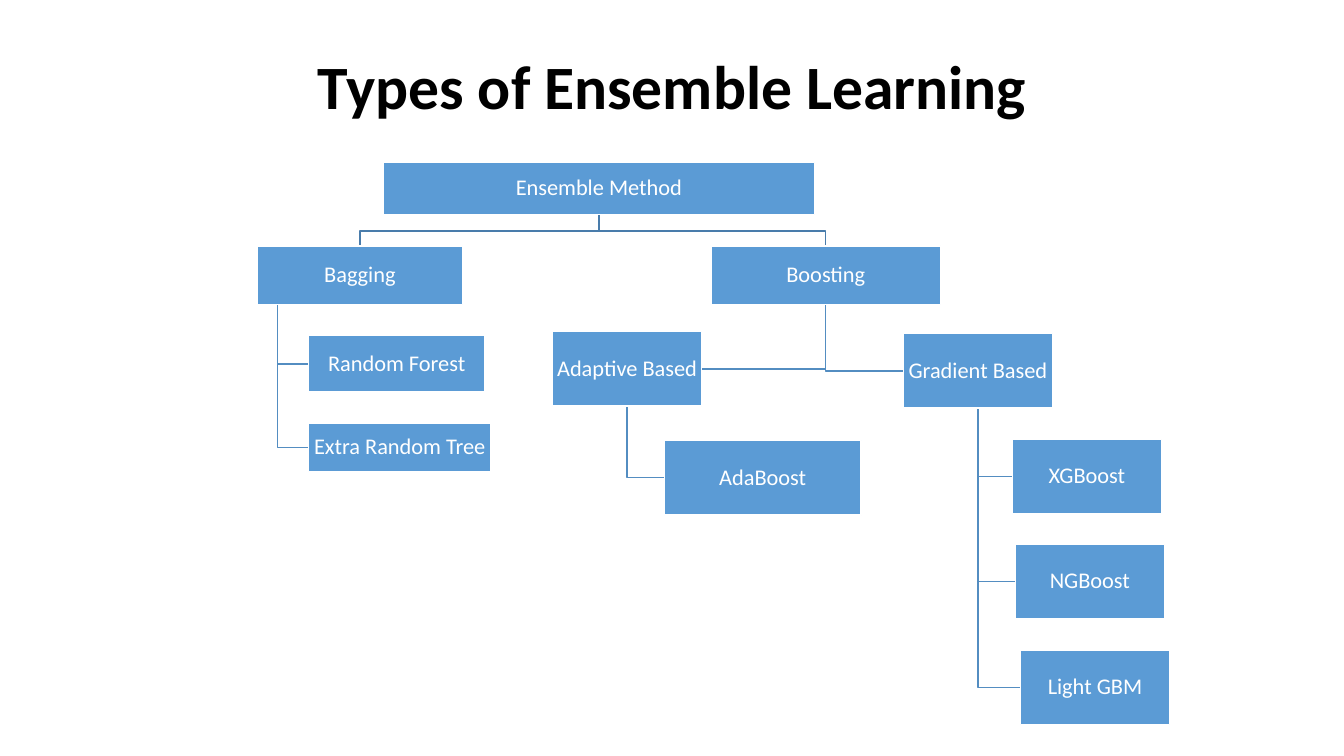
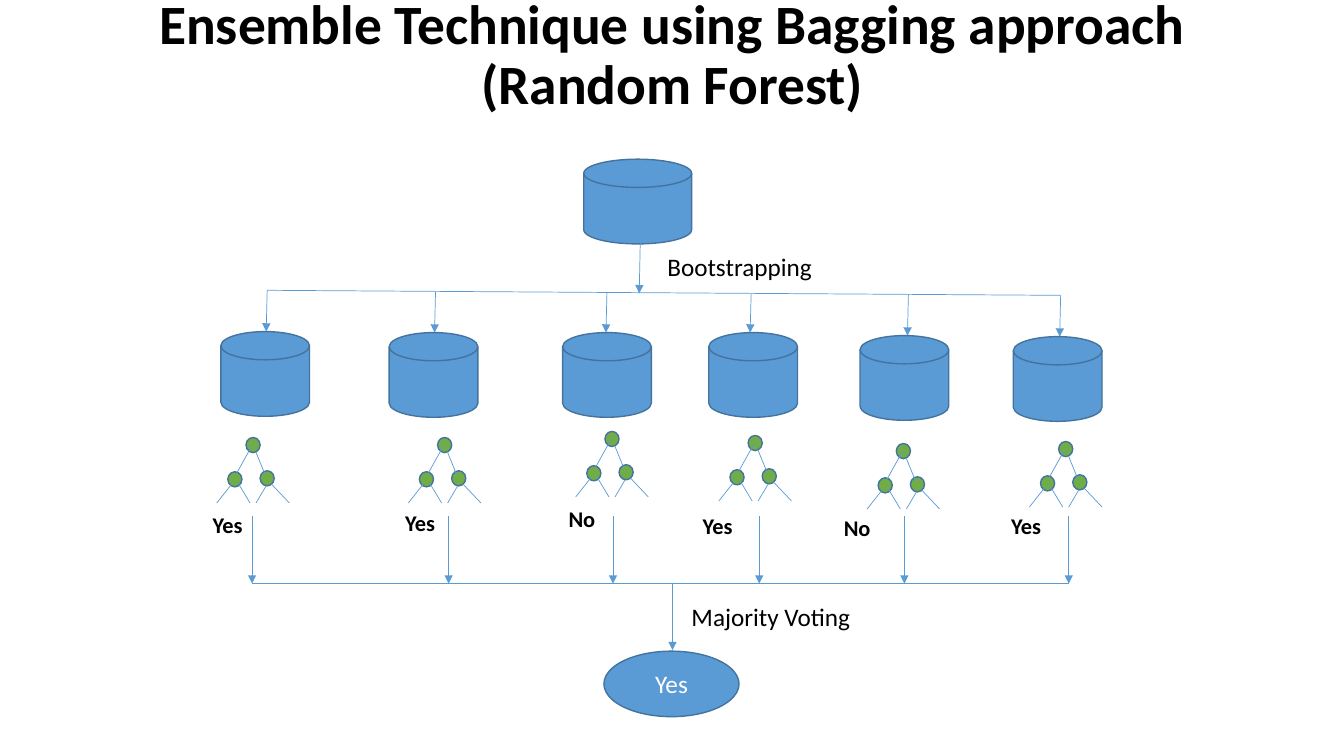
import dataclasses

import lxml.etree
import pptx
import pptx.dml.color
import pptx.enum.shapes
import pptx.enum.text
import pptx.oxml.ns
import pptx.util

PX = 9144  # EMU per px, 100 px to the inch
SHAPE = pptx.enum.shapes.MSO_SHAPE
ALIGN = pptx.enum.text.PP_ALIGN
ANCHOR = pptx.enum.text.MSO_ANCHOR


@dataclasses.dataclass(frozen=True)
class Theme:
    font: str = "Calibri"
    black: str = "000000"
    white: str = "FFFFFF"
    blue: str = "5B9BD5"
    outline: str = "43739E"
    green: str = "70AD47"
    root_link: str = "497CAB"
    link: str = "538DC1"
    title: float = 44
    long_title: float = 39.6
    label: float = 18
    small: float = 16
    thin: float = 0.5
    line: float = 1


THEME = Theme()


@dataclasses.dataclass(frozen=True)
class Box:
    text: str
    left: int
    top: int
    width: int
    height: int

    @property
    def right(self):
        return self.left + self.width

    @property
    def bottom(self):
        return self.top + self.height

    @property
    def center(self):
        return self.left + self.width // 2

    @property
    def middle(self):
        return self.top + self.height // 2


@dataclasses.dataclass(frozen=True)
class Sample:
    drop_x: int      # arrow leaving the bootstrapping line
    store: tuple     # left, top of the data store
    tree: tuple      # left, top of the tree's root node
    vote: str
    vote_at: tuple   # left, top of the vote
    vote_x: int      # arrow down to the voting line


# Hierarchy of methods
ROOT = Box("Ensemble Method", 380, 161, 428, 52)
BAGGING = Box("Bagging", 255, 244, 204, 58)
BOOSTING = Box("Boosting", 705, 244, 228, 58)
ADAPTIVE = Box("Adaptive Based", 548, 329, 148, 74)
GRADIENT = Box("Gradient Based", 896, 331, 148, 74)
# parent, x of the trunk below it, children
BRANCHES = [
    (BAGGING, BAGGING.left + 20, [
        Box("Random Forest", 306, 333, 175, 56),
        Box("Extra Random Tree", 306, 420, 181, 48)]),
    (BOOSTING, BOOSTING.center, [ADAPTIVE, GRADIENT]),
    (ADAPTIVE, ADAPTIVE.center, [Box("AdaBoost", 659, 437, 195, 74)]),
    (GRADIENT, GRADIENT.center, [
        Box("XGBoost", 1004, 436, 148, 74),
        Box("NGBoost", 1007, 540, 148, 74),
        Box("Light GBM", 1012, 645, 148, 74)]),
]

# Random forest
SAMPLES = [
    Sample(265, (219, 329), (244, 434), "Yes", (201, 502), 250),
    Sample(432, (386, 330), (434, 434), "Yes", (392, 500), 445),
    Sample(602, (558, 330), (600, 428), "No", (554, 496), 608),
    Sample(745, (703, 330), (742, 432), "Yes", (687, 503), 753),
    Sample(901, (853, 333), (889, 440), "No", (827, 505), 897),
    Sample(1052, (1005, 334), (1050, 438), "Yes", (993, 503), 1060),
]
BUS_LEFT, BUS_RIGHT = (265, 288), (1052, 293)
VOTE_TOP, VOTE_LINE = 512, 579
# Offsets from the left top corner of a tree's root node
TREE_NODES = [(0, 0), (14, 33), (-18, 34)]
TREE_BRANCHES = [
    ((6, 8), (-9, 35)), ((10, 15), (19, 37)),
    ((-14, 46), (-29, 65)), ((-8, 45), (4, 65)),
    ((20, 48), (10, 65)), ((25, 46), (43, 65)),
]


def px(*lengths):
    return [pptx.util.Emu(length * PX) for length in lengths]


def rgb(color):
    return pptx.dml.color.RGBColor.from_string(color)


def write(holder, text, size, color, bold=False, align=ALIGN.CENTER,
          anchor=ANCHOR.MIDDLE, inset=None, spacing=None):
    frame = holder.text_frame
    frame.word_wrap = True
    frame.vertical_anchor = anchor
    if inset is not None:
        frame.margin_left = frame.margin_right = px(inset)[0]
        frame.margin_top = frame.margin_bottom = px(inset)[0]
    frame.text = text
    paragraph = frame.paragraphs[0]
    paragraph.alignment = align
    if spacing:
        paragraph.line_spacing = spacing
    font = paragraph.runs[0].font
    font.name, font.size, font.bold = THEME.font, pptx.util.Pt(size), bold
    font.color.rgb = rgb(color)


def add_title(slide, text, top, height, size):
    title = slide.shapes.add_textbox(*px(92, top, 1150, height))
    write(title, text, size, THEME.black, bold=True, spacing=0.9)


def add_label(slide, text, left, top, width, height, size, bold=False):
    label = slide.shapes.add_textbox(*px(left, top, width, height))
    write(label, text, size, THEME.black, bold, ALIGN.LEFT, ANCHOR.TOP)


def add_figure(shapes, preset, left, top, width, height,
               fill=THEME.blue, outline=THEME.outline):
    figure = shapes.add_shape(preset, *px(left, top, width, height))
    figure.shadow.inherit = False
    figure.fill.solid()
    figure.fill.fore_color.rgb = rgb(fill)
    figure.line.color.rgb = rgb(outline)
    figure.line.width = pptx.util.Pt(THEME.line)
    return figure


def add_line(shapes, start, end, arrow=False):
    line = shapes.add_connector(pptx.enum.shapes.MSO_CONNECTOR.STRAIGHT,
                                *px(*start, *end))
    line.line.color.rgb = rgb(THEME.blue)
    line.line.width = pptx.util.Pt(THEME.thin)
    qn = pptx.oxml.ns.qn
    properties = line._element.spPr
    if arrow:
        lxml.etree.SubElement(properties.find(qn("a:ln")), qn("a:tailEnd"),
                              type="triangle")
    lxml.etree.SubElement(properties, qn("a:effectLst"))


def add_link(slide, points, color):
    start, *rest = [px(*point) for point in points]
    outline = slide.shapes.build_freeform(*start)
    outline.add_line_segments(rest, close=False)
    link = outline.convert_to_shape()
    link.shadow.inherit = False
    link.fill.background()
    link.line.color.rgb = rgb(color)
    link.line.width = pptx.util.Pt(THEME.line)


def add_box(slide, box):
    figure = add_figure(slide.shapes, SHAPE.RECTANGLE, box.left, box.top,
                        box.width, box.height, outline=THEME.white)
    write(figure, box.text, THEME.small, THEME.white, inset=1, spacing=0.9)


def add_tree(slide, left, top):
    shapes = slide.shapes.add_group_shape().shapes
    for dx, dy in TREE_NODES:
        add_figure(shapes, SHAPE.OVAL, left + dx, top + dy, 14, 15, THEME.green)
    for start, end in TREE_BRANCHES:
        add_line(shapes, (left + start[0], top + start[1]),
                 (left + end[0], top + end[1]))


def bus_y(x):
    (x1, y1), (x2, y2) = BUS_LEFT, BUS_RIGHT
    return y1 + round((y2 - y1) * (x - x1) / (x2 - x1))


def build_types(slide):
    add_title(slide, "Types of Ensemble Learning", 40, 97, THEME.title)

    # Links first, so that the boxes cover their ends
    fork = (ROOT.bottom + BAGGING.top) // 2 + 1
    for child in (BAGGING, BOOSTING):
        add_link(slide, [(ROOT.center, ROOT.bottom), (ROOT.center, fork),
                         (child.center, fork), (child.center, child.top)],
                 THEME.root_link)
    for parent, trunk, children in BRANCHES:
        for child in children:
            side = child.left if child.left > trunk else child.right
            add_link(slide, [(trunk, parent.bottom), (trunk, child.middle),
                             (side, child.middle)], THEME.link)

    # Boxes
    boxes = [ROOT, BAGGING, BOOSTING]
    for _, _, children in BRANCHES:
        boxes += children
    for box in boxes:
        add_box(slide, box)


def build_forest(slide):
    shapes = slide.shapes
    add_title(slide, "Ensemble Technique using Bagging approach (Random Forest)",
              3, 106, THEME.long_title)

    # Data set and bootstrapping
    add_figure(shapes, SHAPE.FLOWCHART_MAGNETIC_DISK, 579, 158, 107, 84)
    add_line(shapes, (635, 241), (634, 291), arrow=True)
    add_line(shapes, BUS_LEFT, BUS_RIGHT)
    add_label(slide, "Bootstrapping", 652, 244, 185, 40, THEME.label)

    # Samples, their trees and votes
    for sample in SAMPLES:
        add_line(shapes, (sample.drop_x, bus_y(sample.drop_x)),
                 (sample.drop_x - 1, sample.store[1]), arrow=True)
        add_figure(shapes, SHAPE.FLOWCHART_MAGNETIC_DISK, *sample.store, 88, 84)
        add_tree(slide, *sample.tree)
        add_label(slide, sample.vote, *sample.vote_at, 51, 37, THEME.small, True)
        add_line(shapes, (sample.vote_x, VOTE_TOP), (sample.vote_x, VOTE_LINE),
                 arrow=True)

    # Majority voting
    add_line(shapes, (SAMPLES[0].vote_x, VOTE_LINE),
             (SAMPLES[-1].vote_x, VOTE_LINE))
    add_line(shapes, (667, VOTE_LINE), (667, 645), arrow=True)
    add_label(slide, "Majority Voting", 676, 592, 185, 40, THEME.label)
    verdict = add_figure(shapes, SHAPE.OVAL, 599, 646, 134, 65)
    write(verdict, "Yes", THEME.label, THEME.white)


def main():
    deck = pptx.Presentation()
    deck.slide_width, deck.slide_height = px(1333, 750)
    for build in (build_types, build_forest):
        build(deck.slides.add_slide(deck.slide_layouts[6]))
    deck.save("out.pptx")


if __name__ == "__main__":
    main()
